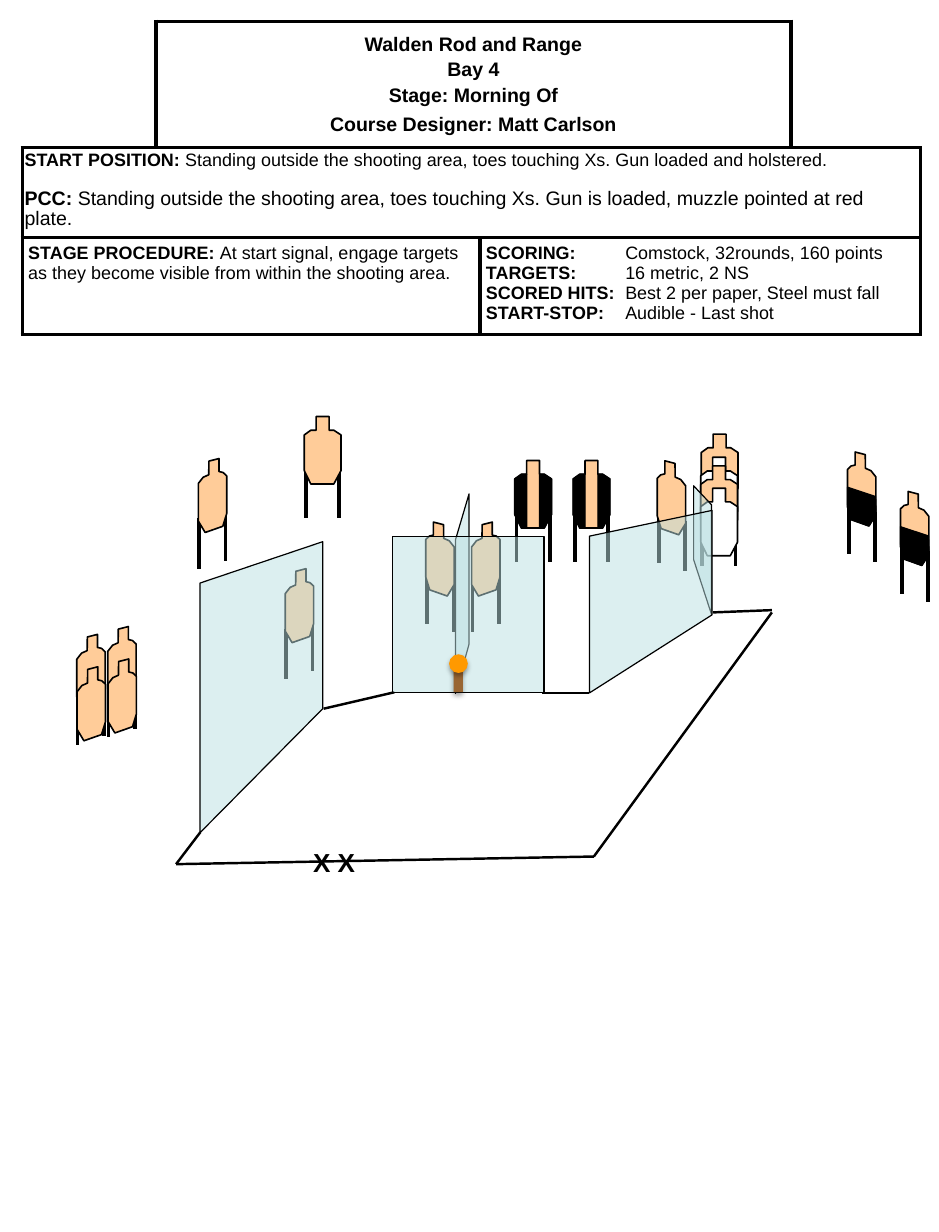
from lxml import etree
from pptx import Presentation
from pptx.dml.color import RGBColor
from pptx.enum.shapes import MSO_CONNECTOR, MSO_SHAPE
from pptx.enum.text import MSO_ANCHOR, PP_ALIGN
from pptx.oxml.ns import qn
from pptx.util import Pt

STRAIGHT = MSO_CONNECTOR.STRAIGHT
RECTANGLE, OVAL = MSO_SHAPE.RECTANGLE, MSO_SHAPE.OVAL
CENTER, LEFT = PP_ALIGN.CENTER, PP_ALIGN.LEFT
MIDDLE, TOP = MSO_ANCHOR.MIDDLE, MSO_ANCHOR.TOP

BLACK = RGBColor(0x00, 0x00, 0x00)
WHITE = RGBColor(0xFF, 0xFF, 0xFF)
TAN = RGBColor(0xFF, 0xCC, 0x99)
GLASS = RGBColor(0xBB, 0xE0, 0xE3)
WOOD = RGBColor(0x99, 0x66, 0x33)
ORANGE = RGBColor(0xFF, 0x99, 0x00)

COLUMNS = [82, 198.8, 190.8, 79.2]
ROWS = [77.6, 55.2, 59.6]
EDGES = ["lnL", "lnR", "lnT", "lnB"]
VALUE_TAB = 85.5

CELLS = [
    {"at": (0, 0), "to": (0, 0), "edges": ["lnR", "lnB"], "lines": []},
    {"at": (0, 3), "to": (0, 3), "edges": ["lnL", "lnB"], "lines": []},
    {"at": (0, 1), "to": (0, 2), "edges": EDGES, "inset": (3.6, 3.6), "anchor": MIDDLE,
     "align": CENTER, "lines": [
        (12, 0, "Walden Rod and Range", ""),
        (12, 2.4, "Bay 4", ""),
        (12, 2.4, "Stage: Morning Of", ""),
        (12, 4.2, "Course Designer: Matt Carlson", "")]},
    {"at": (1, 0), "to": (1, 3), "edges": EDGES, "inset": (1.4, 2.9), "spacing": 0.9, "lines": [
        (11, 0, "START POSITION:",
         " Standing outside the shooting area, toes touching Xs. Gun loaded and holstered."),
        (12, 12.1, "PCC: ", "Standing outside the shooting area, toes touching Xs. "
         "Gun is loaded, muzzle pointed at red plate.")]},
    {"at": (2, 0), "to": (2, 1), "edges": EDGES, "inset": (3.6, 3.6), "lines": [
        (11, 0, "STAGE PROCEDURE: ", "At start signal, engage targets as they become visible "
         "from within the shooting area.")]},
    {"at": (2, 2), "to": (2, 3), "edges": EDGES, "inset": (3.6, 3.6), "tab": VALUE_TAB, "lines": [
        (11, 0, "SCORING:\t", "Comstock, 32rounds, 160 points"),
        (11, 0, "TARGETS:\t", "16 metric, 2 NS"),
        (11, 0, "SCORED HITS:\t", "Best 2 per paper, Steel must fall"),
        (11, 0, "START-STOP:\t", "Audible - Last shot")]},
]


def mirror(points, width):
    return [(width - x, y) for x, y in points]


FRONT_W, SIDE_W = 22.5, 17.4
FRONT = [(7.3, 0), (15.2, 0), (15.2, 8.4), (18.1, 8.4), (22.5, 11.3), (22.5, 33.2),
         (18.1, 41.4), (4, 41.4), (0, 33.2), (0, 11.3), (4, 8.4), (7.3, 8.4)]
SIDE = [(6.5, 1.6), (12.7, 0), (12.7, 8), (15.2, 8.6), (17.4, 10.7), (17.4, 33.8),
        (15, 41.6), (4.2, 45.4), (0, 38.4), (0, 15.3), (3, 11.5), (6.4, 10)]
HARD_SIDE = FRONT[2:7] + [(15.2, 41.4)]
HARD_LOW = [(17.6, 38.6), (13, 45.4), (2.7, 41.6), (0, 32.4), (0, 21.6), (17.2, 27.3)]

BODIES = {
    "front": FRONT, "side": SIDE, "turned": mirror(SIDE, SIDE_W),
    "hard right": HARD_SIDE, "hard left": mirror(HARD_SIDE, FRONT_W), "hard low": HARD_LOW,
}
LEGS = {
    "front legs": [(1, 30.8, 62.4), (21.4, 30.8, 62.4)],
    "side legs": [(0.5, 36.7, 67.7), (16.7, 31.7, 62.6)],
    "turned legs": [(16.9, 36.7, 67.7), (0.9, 31.7, 62.6)],
}

TARGETS = {
    "front": [("front legs", BLACK, 0, 0), ("front", TAN, 0, 0)],
    "side": [("side legs", BLACK, 0, 0), ("side", TAN, 0, 0)],
    "turned": [("turned legs", BLACK, 0, 0), ("turned", TAN, 0, 0)],
    "legless": [("side", TAN, 0, 0)],
    "stack": [("front legs", BLACK, -0.5, 18.4), ("front legs", BLACK, 0, 0),
              ("front", TAN, 0, 0), ("front", WHITE, -0.3, 14.2),
              ("front", TAN, -0.3, 19.5), ("front", WHITE, -0.3, 33.2)],
}
TARGETS["hard sides"] = TARGETS["front"] + [("hard right", BLACK, 0, 0), ("hard left", BLACK, 0, 0)]
TARGETS["half hard"] = TARGETS["turned"] + [("hard low", BLACK, 0, 0)]

SCENE = [
    ("target", "stack", 430.2, 266.4),
    ("target", "hard sides", 315.8, 282.6),
    ("target", "hard sides", 351.6, 282.6),
    ("wall", [(425.5, 343.4), (436.5, 377.1), (436.5, 309.8), (425.5, 298.1)]),
    ("target", "turned", 403.2, 282.8),
    ("target", "side", 289.3, 320.4),
    ("wall", [(279.4, 425.5), (279.4, 331.2), (287.7, 303.1), (287.7, 395.3)]),
    ("target", "turned", 261.2, 320.4),
    ("table", 13.7, 13),
    ("fault line", (241.9, 424.8), (198.5, 434.9)),
    ("fault line", (108, 530.3), (364.3, 525.6)),
    ("start mark", "X X", 185, 516.2, 41.8, 26.6),
    ("screen", 241, 329.2, 92.7, 95.7),
    ("target", "side", 47.1, 389.3),
    ("target", "side", 121.7, 281.4),
    ("target", "side", 175, 349),
    ("wall", [(198, 434.9), (122.7, 511), (122.7, 357.8), (198, 332.4)]),
    ("target", "front", 186.7, 255.6),
    ("wall", [(436.8, 377.3), (361.6, 425.2), (361.6, 329), (436.8, 313.2)]),
    ("target", "half hard", 552.4, 301.6),
    ("fault line", (361.6, 425.2), (332.6, 425.2)),
    ("fault line", (473.5, 374.4), (437.5, 375.8)),
    ("fault line", (364.3, 525.6), (473.5, 375.8)),
    ("fault line", (122.9, 510.7), (108, 530.3)),
    ("target", "legless", 47.3, 409.2),
    ("target", "side", 66.1, 384.5),
    ("target", "legless", 66.3, 404.4),
    ("popper", [(RECTANGLE, WOOD, 278.2, 408.8, 5.8, 16),
                (OVAL, ORANGE, 275.5, 401.5, 11.5, 11.5)]),
    ("target", "half hard", 519.9, 277.4),
]

deck = Presentation()
deck.slide_width, deck.slide_height = Pt(576), Pt(756)
stage = deck.slides.add_slide(deck.slide_layouts[6]).shapes


def style(run, size, bold):
    for key, value in {"name": "Arial", "size": Pt(size), "bold": bold}.items():
        setattr(run.font, key, value)
    run.font.color.rgb = BLACK


def draw_line(shapes, start, end, width):
    line = shapes.add_connector(STRAIGHT, *map(Pt, start + end))
    line.line.color.rgb, line.line.width = BLACK, Pt(width)
    etree.SubElement(line._element.spPr, qn("a:effectLst"))


def paint(shape, fill, width):
    shape.shadow.inherit = False
    shape.fill.solid()
    shape.fill.fore_color.rgb = fill
    if width is None:
        shape.line.fill.background()
    else:
        shape.line.color.rgb, shape.line.width = BLACK, Pt(width)


def draw_outline(shapes, points, fill, width):
    corners = [(Pt(x), Pt(y)) for x, y in points]
    builder = shapes.build_freeform(*corners[0], scale=1.0)
    builder.add_line_segments(corners[1:], close=True)
    shape = builder.convert_to_shape()
    paint(shape, fill, width)
    return shape


def make_glass(shape):
    color = shape._element.spPr.find(qn("a:solidFill"))[0]
    etree.SubElement(color, qn("a:alpha"), val="50000")


def draw_target(kind, left, top):
    group = stage.add_group_shape().shapes
    for part, fill, dx, dy in TARGETS[kind]:
        x, y = left + dx, top + dy
        for leg, upper, lower in LEGS.get(part, []):
            draw_line(group, (x + leg, y + upper), (x + leg, y + lower), 2.25)
        if part in BODIES:
            points = [(x + px, y + py) for px, py in BODIES[part]]
            draw_outline(group, points, fill, 0 if part.startswith("hard") else 1)


def draw_wall(points):
    make_glass(draw_outline(stage, points, GLASS, 0.75))


def draw_screen(*box):
    screen = stage.add_shape(RECTANGLE, *map(Pt, box))
    paint(screen, GLASS, 0.75)
    make_glass(screen)


def draw_fault_line(start, end):
    draw_line(stage, start, end, 1.5)


def draw_start_mark(text, *box):
    mark = stage.add_textbox(*map(Pt, box)).text_frame
    run = mark.paragraphs[0].add_run()
    run.text = text
    style(run, 16, True)


def draw_popper(pieces):
    group = stage.add_group_shape().shapes
    for form, fill, *box in pieces:
        piece = group.add_shape(form, *map(Pt, box))
        paint(piece, fill, None)
        shadow = etree.SubElement(piece._element.spPr.find(qn("a:effectLst")), qn("a:outerShdw"),
                                  blurRad=str(Pt(3.1)), dist=str(Pt(1.8)), dir="5400000",
                                  rotWithShape="0")
        color = etree.SubElement(shadow, qn("a:srgbClr"), val=str(BLACK))
        etree.SubElement(color, qn("a:alpha"), val="35000")


def set_borders(cell, edges):
    props = cell._tc.get_or_add_tcPr()
    for place, edge in enumerate(EDGES):
        border = etree.Element(qn("a:" + edge), w=str(Pt(2.25)))
        if edge in edges:
            fill = etree.SubElement(border, qn("a:solidFill"))
            etree.SubElement(fill, qn("a:srgbClr"), val=str(BLACK))
        else:
            etree.SubElement(border, qn("a:noFill"))
        props.insert(place, border)


def write_cell(cell, entry):
    side, end = entry.get("inset", (3.6, 3.6))
    margins = {"margin_left": side, "margin_right": side, "margin_top": end, "margin_bottom": end}
    for key, value in margins.items():
        setattr(cell, key, Pt(value))
    cell.vertical_anchor = entry.get("anchor", TOP)
    for index, (size, before, label, body) in enumerate(entry["lines"]):
        frame = cell.text_frame
        line = frame.add_paragraph() if index else frame.paragraphs[0]
        formats = {"alignment": entry.get("align", LEFT), "space_before": Pt(before),
                   "line_spacing": entry.get("spacing", 1.0)}
        for key, value in formats.items():
            setattr(line, key, value)
        if "tab" in entry:
            tabs = etree.SubElement(line._p.get_or_add_pPr(), qn("a:tabLst"))
            etree.SubElement(tabs, qn("a:tab"), pos=str(Pt(entry["tab"])), algn="l")
        for text, bold in ((label, True), (body, False)):
            if text:
                run = line.add_run()
                run.text = text
                style(run, size, bold)


def draw_table(left, top):
    table = stage.add_table(len(ROWS), len(COLUMNS), Pt(left), Pt(top),
                            Pt(sum(COLUMNS)), Pt(sum(ROWS))).table
    for column, width in zip(table.columns, COLUMNS):
        column.width = Pt(width)
    for row, height in zip(table.rows, ROWS):
        row.height = Pt(height)
    for entry in CELLS:
        (row, first), (_, last) = entry["at"], entry["to"]
        for column in range(first, last + 1):
            cell = table.cell(row, column)
            cell.fill.solid()
            cell.fill.fore_color.rgb = WHITE
            set_borders(cell, entry["edges"])
        origin = table.cell(row, first)
        if last > first:
            origin.merge(table.cell(row, last))
        write_cell(origin, entry)


DRAW = {"target": draw_target, "wall": draw_wall, "screen": draw_screen, "table": draw_table,
        "fault line": draw_fault_line, "start mark": draw_start_mark, "popper": draw_popper}
for item, *details in SCENE:
    DRAW[item](*details)

deck.save("out.pptx")
